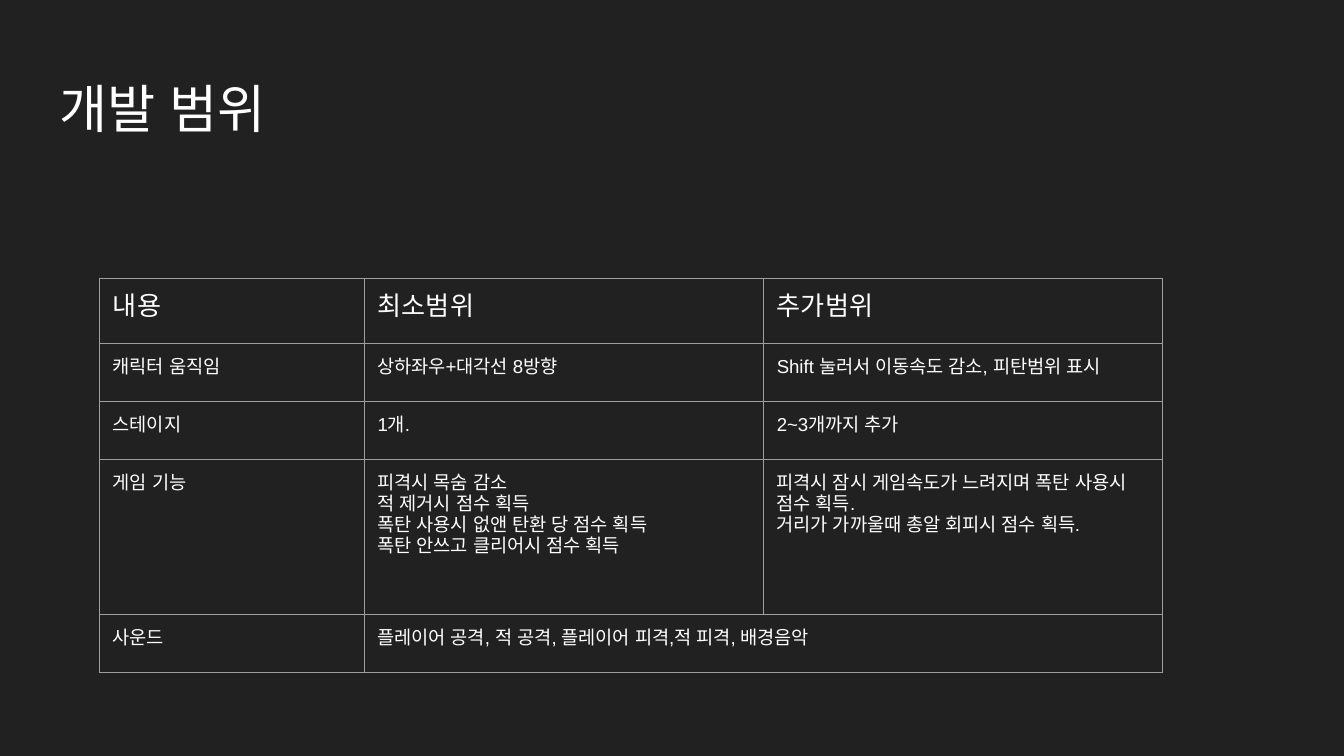
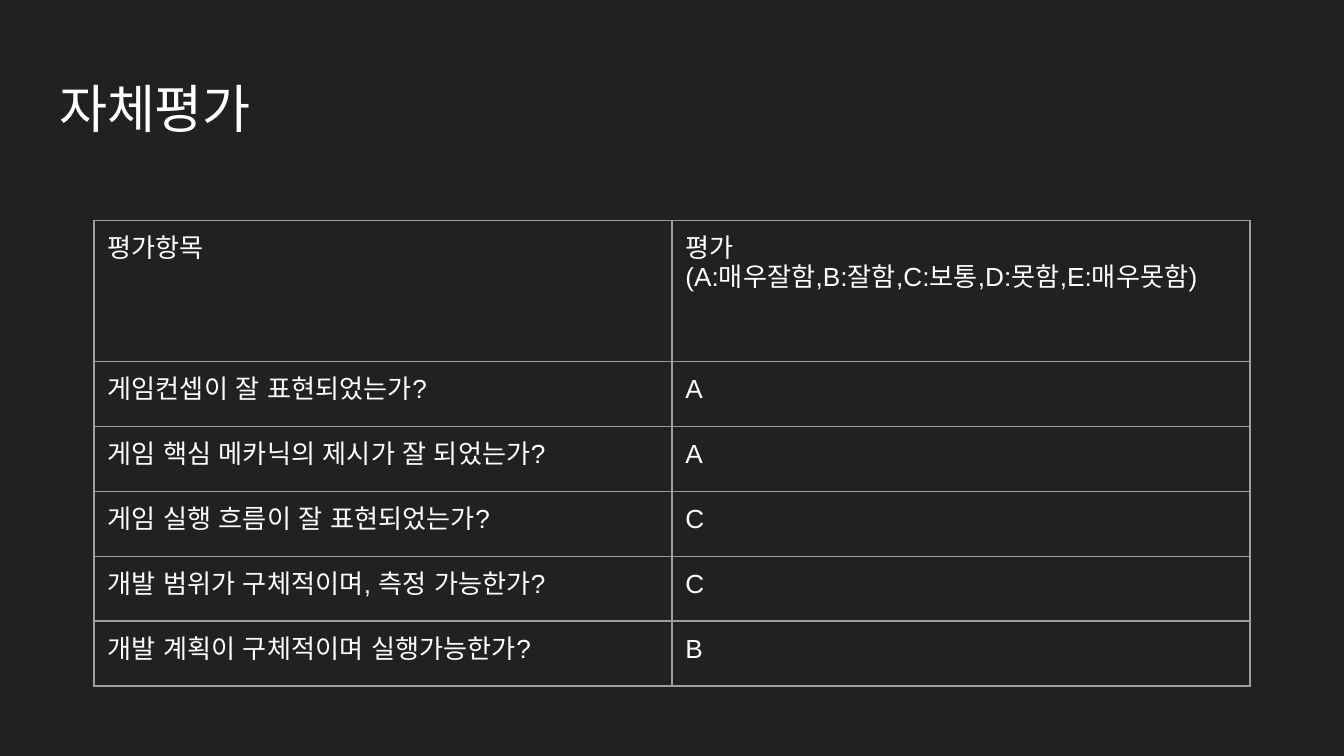
from dataclasses import dataclass
from typing import Any

from lxml.etree import SubElement
from pptx import Presentation
from pptx.dml.color import RGBColor
from pptx.enum.text import MSO_ANCHOR, MSO_AUTO_SIZE, PP_ALIGN
from pptx.oxml.ns import qn
from pptx.util import Inches, Pt

WIDTH = Inches(10)
HEIGHT = WIDTH * 9 // 16
GRID = 100

FONT = "Arial"
BACKGROUND = "212121"
TEXT = "FFFFFF"
RULE = "9E9E9E"
TITLE_SIZE, LARGE, SMALL = 28, 14, 10

INSET = Inches(0.1)
MARGINS = {f"margin_{side}": INSET for side in ("left", "top", "right", "bottom")}
TITLE_BOX = {"left": 3.4, "top": 8.7, "width": 93.2, "height": 11.2}
TITLE_FRAME = MARGINS | {
    "word_wrap": True,
    "auto_size": MSO_AUTO_SIZE.NONE,
    "vertical_anchor": MSO_ANCHOR.MIDDLE,
}
CELL_FORMAT = MARGINS | {"vertical_anchor": MSO_ANCHOR.TOP}
PLAIN_TABLE = {"first_row": False, "horz_banding": False}

LARGE_ROW, SMALL_ROW = 8.59, 7.7


@dataclass(frozen=True)
class Row:
    cells: tuple[str, ...]
    height: float = LARGE_ROW
    size: int = LARGE


@dataclass(frozen=True)
class TablePage:
    title: str
    left: float
    top: float
    columns: tuple[float, ...]
    rows: tuple[Row, ...]


PAGES = (
    TablePage(
        "개발 범위", 7.4, 36.8, (19.7, 29.7, 29.7),
        (
            Row(("내용", "최소범위", "추가범위")),
            Row(
                ("캐릭터 움직임", "상하좌우+대각선 8방향",
                 "Shift 눌러서 이동속도 감소, 피탄범위 표시"),
                SMALL_ROW, SMALL,
            ),
            Row(("스테이지", "1개.", "2~3개까지 추가"), SMALL_ROW, SMALL),
            Row(
                (
                    "게임 기능",
                    "피격시 목숨 감소\n적 제거시 점수 획득\n"
                    "폭탄 사용시 없앤 탄환 당 점수 획득\n폭탄 안쓰고 클리어시 점수 획득",
                    "피격시 잠시 게임속도가 느려지며 폭탄 사용시 점수 획득.\n"
                    "거리가 가까울때 총알 회피시 점수 획득.",
                ),
                20.5, SMALL,
            ),
            Row(
                ("사운드", "플레이어 공격, 적 공격, 플레이어 피격,적 피격, 배경음악"),
                SMALL_ROW, SMALL,
            ),
        ),
    ),
    TablePage(
        "자체평가", 7, 29.16, (43, 43),
        (
            Row(("평가항목", "평가\n(A:매우잘함,B:잘함,C:보통,D:못함,E:매우못함)"), 18.65),
            Row(("게임컨셉이 잘 표현되었는가?", "A")),
            Row(("게임 핵심 메카닉의 제시가 잘 되었는가?", "A")),
            Row(("게임 실행 흐름이 잘 표현되었는가?", "C")),
            Row(("개발 범위가 구체적이며, 측정 가능한가?", "C")),
            Row(("개발 계획이 구체적이며 실행가능한가?", "B")),
        ),
    ),
)


def across(columns: float) -> int:
    return round(WIDTH * columns / GRID)


def down(rows: float) -> int:
    return round(HEIGHT * rows / GRID)


def color(value: str) -> RGBColor:
    return RGBColor.from_string(value)


def apply(target: Any, values: dict[str, Any]) -> None:
    for name, value in values.items():
        setattr(target, name, value)


def write(frame: Any, text: str, size: int) -> None:
    frame.text = text
    for para in frame.paragraphs:
        para.alignment = PP_ALIGN.LEFT
        for span in para.runs:
            apply(span.font, {"name": FONT, "size": Pt(size), "bold": False})
            span.font.color.rgb = color(TEXT)
            for script in ("a:ea", "a:cs"):
                SubElement(span.font._element, qn(script), typeface=FONT)


def draw_borders(cell: Any) -> None:
    properties = cell._tc.get_or_add_tcPr()
    for edge in "LRTB":
        line = SubElement(properties, qn(f"a:ln{edge}"), w=str(Pt(0.75)))
        fill = SubElement(line, qn("a:solidFill"))
        SubElement(fill, qn("a:srgbClr"), val=RULE)


def draw_title(page: Any, text: str) -> None:
    box = page.shapes.title
    for name, share in TITLE_BOX.items():
        measure = across if name in ("left", "width") else down
        setattr(box, name, measure(share))
    apply(box.text_frame, TITLE_FRAME)
    write(box.text_frame, text, TITLE_SIZE)


def draw_table(page: Any, content: TablePage) -> None:
    table = page.shapes.add_table(
        len(content.rows), len(content.columns),
        across(content.left), down(content.top),
        across(sum(content.columns)), down(sum(row.height for row in content.rows)),
    ).table
    apply(table, PLAIN_TABLE)
    for column, width in zip(table.columns, content.columns):
        column.width = across(width)
    last_column = len(content.columns) - 1
    for index, row in enumerate(content.rows):
        table.rows[index].height = down(row.height)
        last_text = len(row.cells) - 1
        if last_text < last_column:
            table.cell(index, last_text).merge(table.cell(index, last_column))
        for cell in table.rows[index].cells:
            apply(cell, CELL_FORMAT)
            draw_borders(cell)
            cell.fill.background()
        for position, text in enumerate(row.cells):
            write(table.cell(index, position).text_frame, text, row.size)


def main() -> None:
    deck = Presentation()
    apply(deck, {"slide_width": WIDTH, "slide_height": HEIGHT})
    backdrop = deck.slide_master.background.fill
    backdrop.solid()
    backdrop.fore_color.rgb = color(BACKGROUND)
    title_only = deck.slide_layouts.get_by_name("Title Only")
    for content in PAGES:
        page = deck.slides.add_slide(title_only)
        draw_title(page, content.title)
        draw_table(page, content)
    deck.save("out.pptx")


if __name__ == "__main__":
    main()
